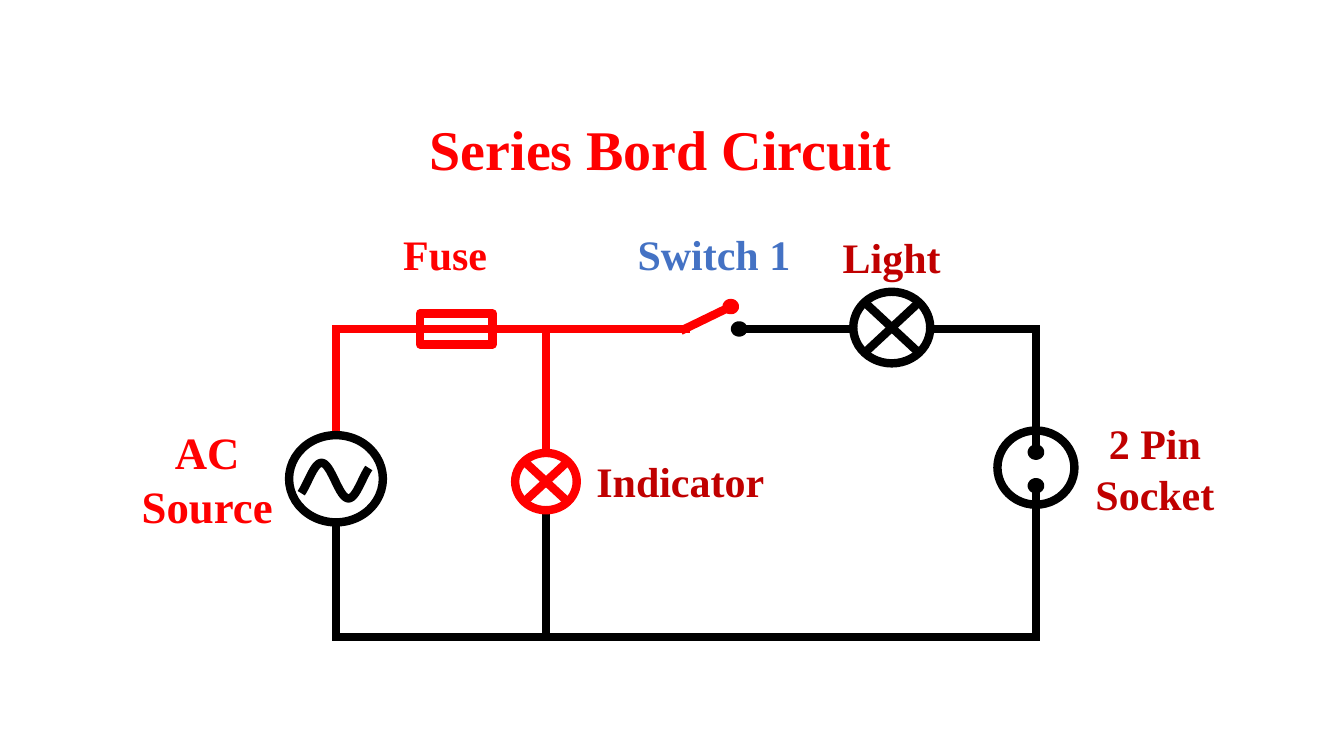
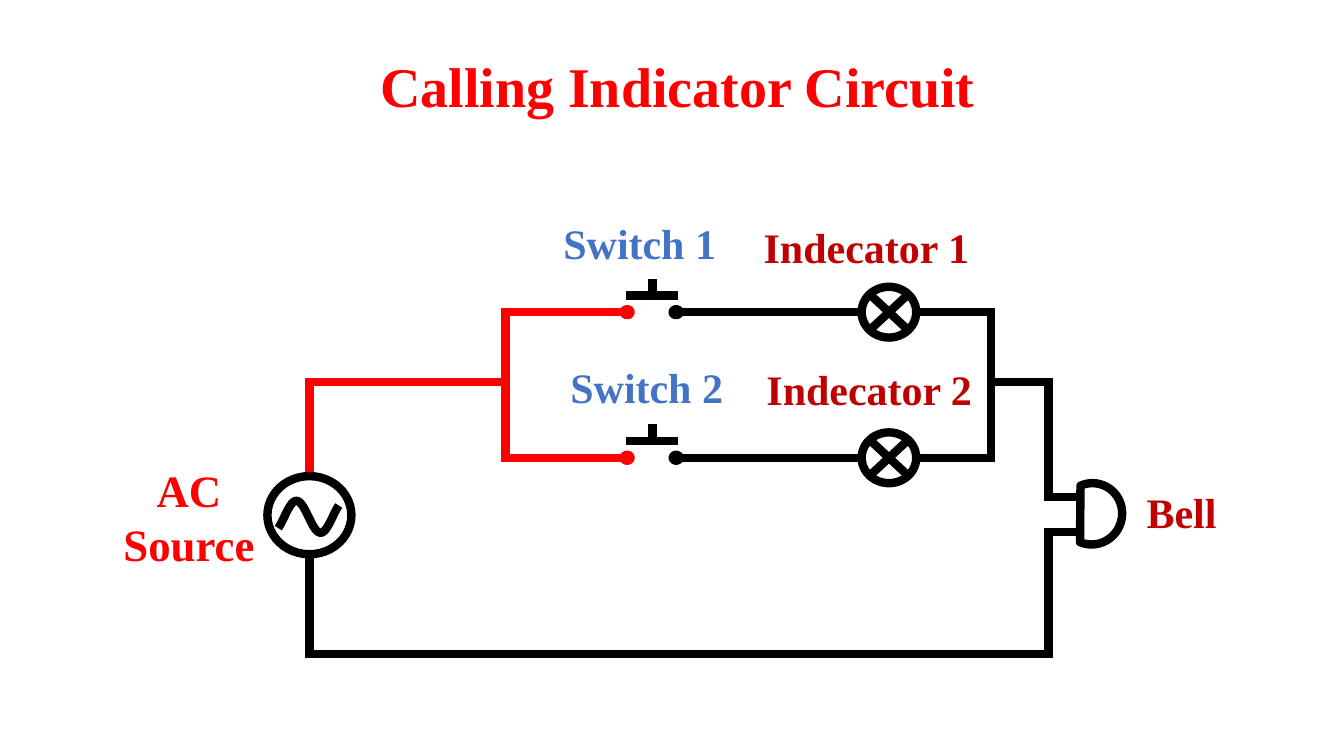
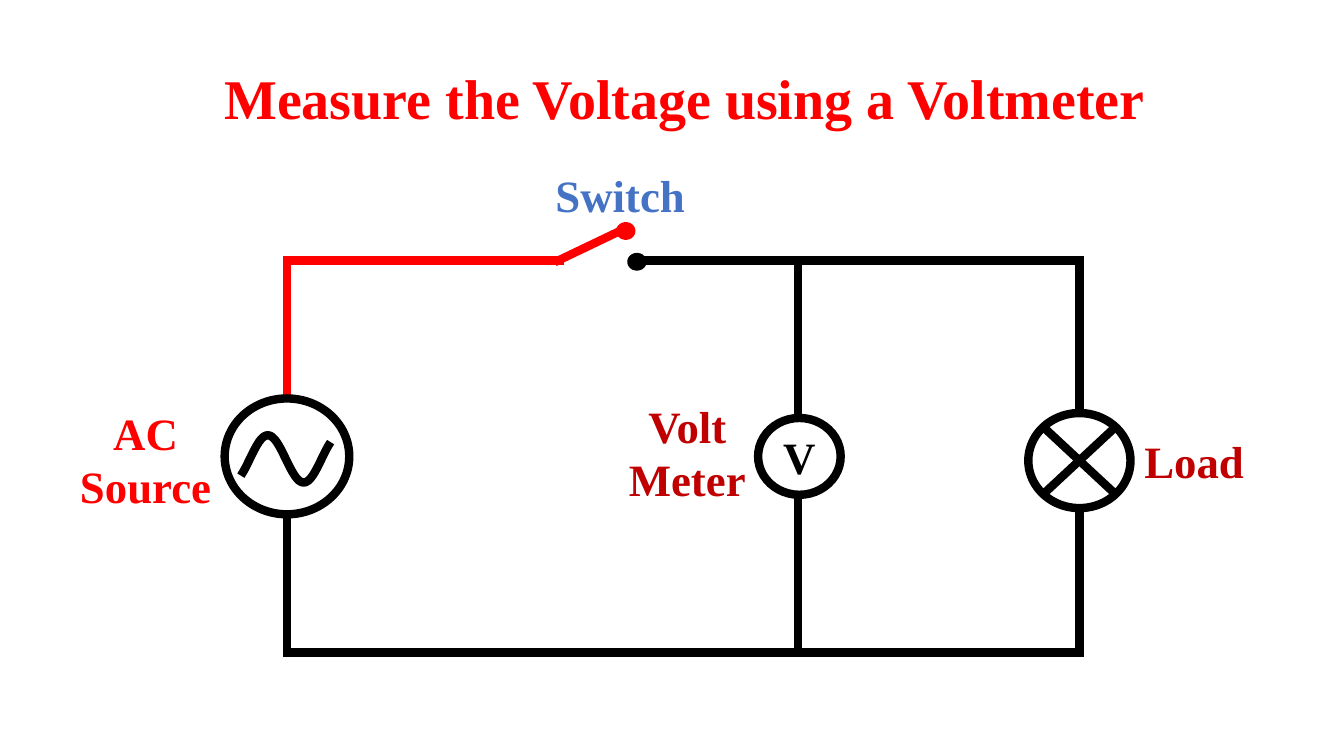
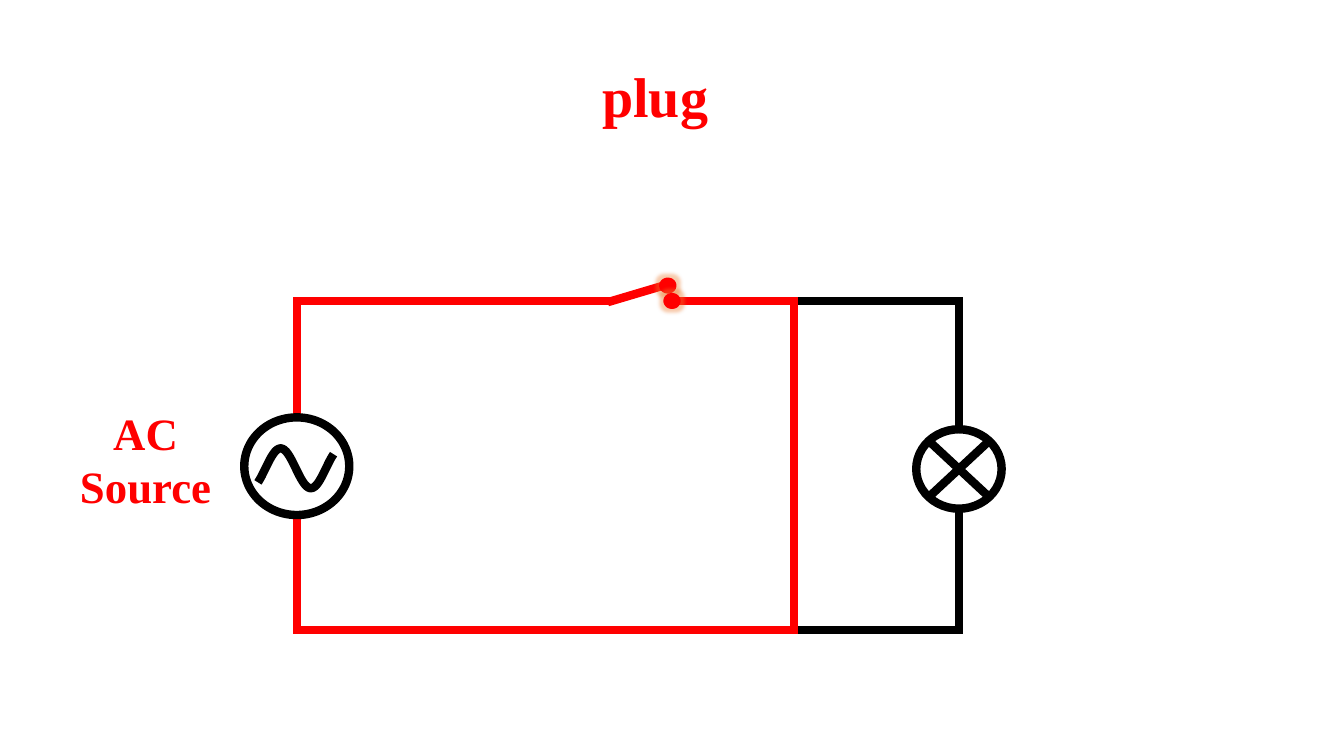
from math import cos, pi

from lxml import etree
from pptx import Presentation
from pptx.dml.color import RGBColor
from pptx.enum.shapes import MSO_CONNECTOR, MSO_SHAPE
from pptx.enum.text import MSO_ANCHOR, PP_ALIGN
from pptx.oxml.ns import qn
from pptx.util import Pt

LINE = MSO_CONNECTOR.STRAIGHT
OVAL, RECT, CHORD = MSO_SHAPE.OVAL, MSO_SHAPE.RECTANGLE, MSO_SHAPE.CHORD
CENTER, MIDDLE = PP_ALIGN.CENTER, MSO_ANCHOR.MIDDLE


class Theme:
    font = "Times New Roman"
    red, black, white = "FF0000", "000000", "FFFFFF"
    blue, maroon, glow = "4472C4", "C00000", "ED7D31"
    head, large, small = 40, 32, 30
    stroke = 6
    oval = 0.93


def write(frame, text, size=Theme.small, color=Theme.maroon, lead=None):
    frame.word_wrap = True
    for i, line in enumerate(text.split("\n")):
        para = frame.paragraphs[0] if i == 0 else frame.add_paragraph()
        para.alignment = CENTER
        para.line_spacing = lead
        run = para.add_run()
        run.text = line
        run.font.name = Theme.font
        run.font.size = Pt(size)
        run.font.bold = True
        run.font.color.rgb = RGBColor.from_string(color)


def draw(shape, color, fill=None):
    shape.shadow.inherit = False
    shape.line.color.rgb = RGBColor.from_string(color)
    shape.line.width = Pt(Theme.stroke)
    if fill:
        shape.fill.solid()
        shape.fill.fore_color.rgb = RGBColor.from_string(fill)
    else:
        shape.fill.background()
    return shape


RED, BLACK = Theme.red, Theme.black
PLAIN, BLUE = {}, dict(color=Theme.blue)
LARGE = dict(size=Theme.large)
AC = dict(size=Theme.large, color=RED)
HEAD = dict(size=Theme.head, color=RED, lead=0.9)

series = dict(
    source=(240, 342, 67),
    back=[(RECT, 326, 235, 52, 22, RED), (OVAL, 740, 334, 55, 53, BLACK)],
    paths=[(RED, 490, 235, 240, 342), (RED, 390, 235, 390, 342),
           (BLACK, 528, 235, 740, 323), (BLACK, 390, 342, 390, 455),
           (BLACK, 740, 347, 740, 455, 240, 342)],
    lever=(489, 235, 522, 219),
    lamps=[(390, 344, 44, RED), (637, 234, 55, BLACK)],
    dot=6,
    dots=[(522, 219, RED), (528, 235, BLACK), (740, 323, BLACK), (740, 347, BLACK)],
    labels=[("Series Bord Circuit", 472, 84, HEAD), ("Fuse", 318, 160, dict(color=RED)),
            ("Switch 1", 510, 160, BLUE), ("Light", 637, 162, PLAIN),
            ("2 Pin\nSocket", 825, 295, PLAIN), ("AC\nSource", 148, 300, AC),
            ("Indicator", 486, 322, PLAIN)])

calling = dict(
    source=(221, 368, 60),
    paths=[(RED, 361, 273, 221, 368), (BLACK, 708, 273, 749, 355, 771),
           (BLACK, 771, 380, 749, 467, 221, 368)],
    lamps=[], dot=5, dots=[], bell=(780, 367, 43, 44),
    labels=[("Calling Indicator Circuit", 484, 39, HEAD), ("Switch 1", 457, 152, BLUE),
            ("Switch 2", 462, 255, BLUE), ("Indecator 1", 619, 155, PLAIN),
            ("Indecator 2", 621, 256, PLAIN), ("Bell", 844, 344, PLAIN),
            ("AC\nSource", 135, 327, AC)])
for y in (223, 327):
    calling["paths"] += [(RED, 448, y, 361, 273), (BLACK, 483, y, 708, 273),
                         (BLACK, 450, y - 12, 481), (BLACK, 466, y - 12, 466, y - 21)]
    calling["lamps"].append((635, y, 39, BLACK))
    calling["dots"] += [(448, y, RED), (483, y, BLACK)]

voltage = dict(
    source=(205, 326, 89),
    paths=[(RED, 400, 186, 205, 326), (BLACK, 455, 186, 771, 466, 205, 326),
           (BLACK, 570, 186, 570, 466)],
    lever=(399, 186, 447, 163),
    lamps=[(771, 329, 73, BLACK)],
    meter=(571, 326, 59),
    dot=8,
    dots=[(447, 165, RED), (455, 187, BLACK)],
    labels=[("Measure the Voltage using a Voltmeter", 489, 47, HEAD),
            ("AC\nSource", 104, 286, AC), ("Switch", 443, 116, LARGE | BLUE),
            ("Load", 853, 306, LARGE), ("Volt\nMeter", 491, 281, LARGE)])

plug = dict(
    source=(212, 333, 75),
    paths=[(RED, 435, 215, 212, 450, 567, 215, 480), (BLACK, 573, 215, 685, 450, 573)],
    lever=(437, 215, 474, 204),
    lamps=[(685, 335, 61, BLACK)],
    dot=6.5,
    glow=5,
    dots=[(477, 204, RED), (480, 215, RED)],
    labels=[("plug", 468, 46, HEAD), ("AC\nSource", 104, 286, AC)])

deck = Presentation()
deck.slide_width, deck.slide_height = Pt(960), Pt(540)

for plan in (series, calling, voltage, plug):
    shapes = deck.slides.add_slide(deck.slide_layouts[6]).shapes
    wires, cross = [], []
    for color, x, y, *stops in plan["paths"]:
        for i, stop in enumerate(stops):
            end = (x, stop) if i % 2 else (stop, y)
            if end != (x, y):
                wires.append((color, x, y, *end))
            x, y = end
    if "lever" in plan:
        wires.append((RED, *plan["lever"]))

    x, y, wide = plan["source"]
    front = [(OVAL, x, y, wide, wide * Theme.oval, BLACK)]
    for x, y, wide, color in plan["lamps"]:
        front.append((OVAL, x, y, wide, wide * Theme.oval, color))
        dx, dy = 0.32 * wide, 0.32 * wide * Theme.oval
        cross += [(color, x - dx, y - dy, x + dx, y + dy),
                  (color, x - dx, y + dy, x + dx, y - dy)]
    if "meter" in plan:
        x, y, wide = plan["meter"]
        front.append((OVAL, x, y, wide, wide * Theme.oval, BLACK))
    if "bell" in plan:
        front.append((CHORD, *plan["bell"], BLACK))

    for forms, links in ((plan.get("back", []), wires), (front, cross)):
        for kind, x, y, wide, high, color in forms:
            form = draw(shapes.add_shape(kind, Pt(x - wide / 2), Pt(y - high / 2),
                                         Pt(wide), Pt(high)), color, Theme.white)
            if kind == CHORD:
                form.rotation = 202.8
            if (x, y, wide) == plan.get("meter"):
                form.text_frame.vertical_anchor = MIDDLE
                write(form.text_frame, "V", size=Theme.large, color=BLACK)
        for color, *ends in links:
            wire = shapes.add_connector(LINE, *map(Pt, ends))
            wire.line.color.rgb = RGBColor.from_string(color)
            wire.line.width = Pt(Theme.stroke)
            wire.line._ln.set("cap", "sq")
            etree.SubElement(wire._element.spPr, qn("a:effectLst"))

    x, y, wide = plan["source"]
    wave = []
    for step in range(41):
        u = step / 40
        rise = cos(2 * pi * (u - 0.3) / 0.8)
        wave.append((Pt(x + wide * (0.72 * u - 0.37)), Pt(y + wide * (0.02 - 0.19 * rise))))
    pen = shapes.build_freeform(*wave[0])
    pen.add_line_segments(wave[1:], close=False)
    draw(pen.convert_to_shape(), BLACK)

    wide = plan["dot"]
    high = 0.85 * wide
    for x, y, color in plan["dots"]:
        dot = draw(shapes.add_shape(OVAL, Pt(x - wide / 2), Pt(y - high / 2),
                                    Pt(wide), Pt(high)), color, color)
        if "glow" in plan:
            effect = dot._element.spPr.find(qn("a:effectLst"))
            glow = etree.SubElement(effect, qn("a:glow"), rad=str(int(Pt(plan["glow"]))))
            tint = etree.SubElement(glow, qn("a:srgbClr"), val=Theme.glow)
            etree.SubElement(tint, qn("a:alpha"), val="40000")

    for text, mid, top, style in plan["labels"]:
        size = style.get("size", Theme.small)
        lines = text.split("\n")
        wide = 20 + 0.55 * size * max(map(len, lines))
        high = 7.2 + 1.15 * size * len(lines)
        box = shapes.add_textbox(Pt(mid - wide / 2), Pt(top), Pt(wide), Pt(high))
        write(box.text_frame, text, **style)

deck.save("out.pptx")
